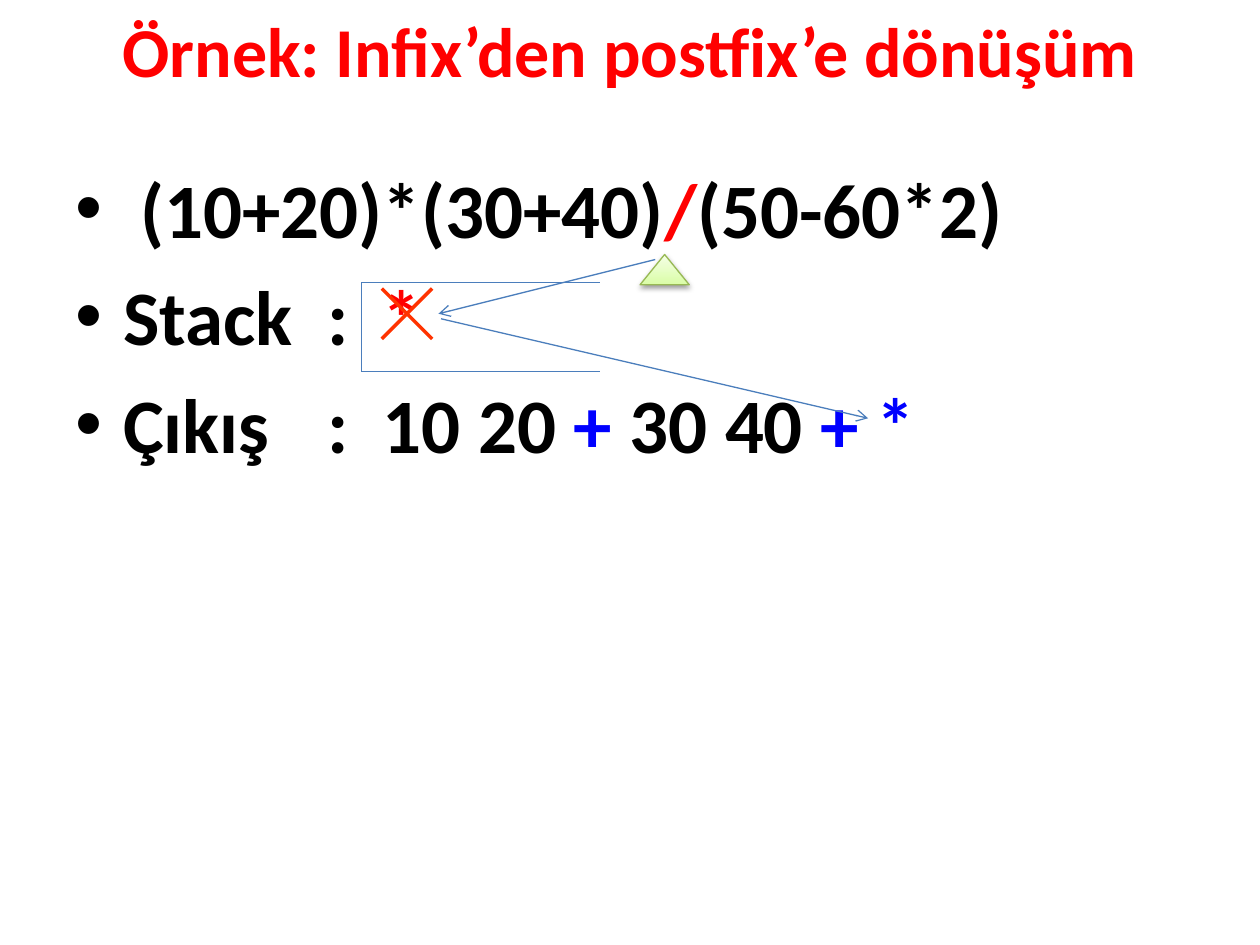
"""Build a slide showing one step of an infix to postfix conversion."""
import pptx
import pptx.dml.color
import pptx.enum.shapes
import pptx.enum.text
import pptx.oxml
import pptx.util
from pptx.util import Inches

COLORS = {"red": "FF0000", "black": "000000", "blue": "0000FF", "line": "4B7EBC",
          "cross": "FF3300", "light": "F5FFE7", "green": "DAFDA7", "edge": "98B955"}
FONT = "Calibri"
NAMESPACE = 'xmlns:a="http://schemas.openxmlformats.org/drawingml/2006/main"'

TITLE = [("Örnek: Infix’den postfix’e dönüşüm", "red")]
STEPS = [
    [(" (10+20)*(30+40)", "black"), ("/", "red"), ("(50-60*2)", "black")],
    [("Stack\t:\t", "black"), ("*", "red")],
    [("Çıkış\t:\t10 20 ", "black"), ("+ ", "blue"), ("30 40 ", "black"), ("+ *", "blue")],
]
TAB_STOPS = [2, 2.44]

STACK = {"left": 2.87, "right": 4.76, "top": 2.24, "bottom": 2.95}
CROSS = {"left": 3.03, "right": 3.43, "top": 2.29, "bottom": 2.69}
ARROWS = [((5.2, 2.06), (3.48, 2.49)), ((3.5, 2.53), (6.89, 3.32))]
POINTER = (5.08, 2.02, 0.39, 0.24)


def rgb(name):
    return pptx.dml.color.RGBColor.from_string(COLORS[name])


def add_xml(parent, xml):
    element = pptx.oxml.parse_xml(xml)
    parent.append(element)
    return element


def add_text_box(page, place, anchor):
    box = page.shapes.add_textbox(*map(Inches, place))
    settings = {"word_wrap": True, "vertical_anchor": anchor,
                "auto_size": pptx.enum.text.MSO_AUTO_SIZE.NONE}
    for name, value in settings.items():
        setattr(box.text_frame, name, value)
    return box.text_frame


def add_spans(para, spans, size):
    for text, color in spans:
        span = para.add_run()
        span.text = text
        for name, value in {"name": FONT, "size": pptx.util.Pt(size), "bold": True}.items():
            setattr(span.font, name, value)
        span.font.color.rgb = rgb(color)


def add_bullet(para):
    properties = para._p.get_or_add_pPr()
    properties.set("marL", str(Inches(0.38)))
    properties.set("indent", str(Inches(-0.38)))
    add_xml(properties, f'<a:buFont {NAMESPACE} typeface="Arial"/>')
    add_xml(properties, f'<a:buChar {NAMESPACE} char="•"/>')
    stops = "".join(f'<a:tab pos="{Inches(stop)}" algn="l"/>' for stop in TAB_STOPS)
    add_xml(properties, f"<a:tabLst {NAMESPACE}>{stops}</a:tabLst>")


def add_line(page, start, end, color="line", width=0.75, arrow=False):
    line = page.shapes.add_connector(pptx.enum.shapes.MSO_CONNECTOR.STRAIGHT,
                                     *map(Inches, (*start, *end)))
    line.line.color.rgb = rgb(color)
    line.line.width = pptx.util.Pt(width)
    if arrow:
        add_xml(line.line._get_or_add_ln(), f'<a:tailEnd {NAMESPACE} type="arrow"/>')
    add_xml(line._element.spPr, f"<a:effectLst {NAMESPACE}/>")


def corners(area):
    return [(area[x], area[y]) for y in ("top", "bottom") for x in ("left", "right")]


def add_pointer(page):
    pointer = page.shapes.add_shape(pptx.enum.shapes.MSO_SHAPE.ISOSCELES_TRIANGLE,
                                    *map(Inches, POINTER))
    pointer.fill.gradient()
    pointer.fill.gradient_angle = 90
    for stop, color, position in zip(pointer.fill.gradient_stops, ("green", "light"), (0, 1)):
        stop.color.rgb = rgb(color)
        stop.position = position
    pointer.line.color.rgb = rgb("edge")
    pointer.line.width = pptx.util.Pt(0.75)
    pointer.shadow.inherit = False
    effects = pointer._element.spPr.find(pptx.oxml.ns.qn("a:effectLst"))
    add_xml(effects, f'<a:outerShdw {NAMESPACE} blurRad="39370" dist="20320" dir="5400000" '
            'rotWithShape="0"><a:srgbClr val="000000"><a:alpha val="38000"/></a:srgbClr>'
            "</a:outerShdw>")


def main():
    deck = pptx.Presentation()
    deck.slide_width, deck.slide_height = Inches(10), Inches(7.5)
    page = deck.slides.add_slide(deck.slide_layouts[6])

    title = add_text_box(page, (0, -0.03, 10, 0.85), pptx.enum.text.MSO_ANCHOR.MIDDLE)
    title.paragraphs[0].alignment = pptx.enum.text.PP_ALIGN.CENTER
    add_spans(title.paragraphs[0], TITLE, 40)

    body = add_text_box(page, (0.5, 1.23, 9, 5.47), pptx.enum.text.MSO_ANCHOR.TOP)
    for index, spans in enumerate(STEPS):
        para = body.add_paragraph() if index else body.paragraphs[0]
        add_bullet(para)
        if index:
            para.space_before = pptx.util.Pt(8.8)
        add_spans(para, spans, 44)

    top_left, top_right, bottom_left, bottom_right = corners(CROSS)
    for start, end in ((bottom_right, top_left), (top_right, bottom_left)):
        add_line(page, start, end, "cross", 2)
    for start, end in ARROWS:
        add_line(page, start, end, arrow=True)
    add_pointer(page)
    top_left, top_right, bottom_left, bottom_right = corners(STACK)
    for start, end in ((top_left, top_right), (bottom_left, bottom_right),
                       (top_left, bottom_left)):
        add_line(page, start, end)

    deck.save("out.pptx")


if __name__ == "__main__":
    main()
